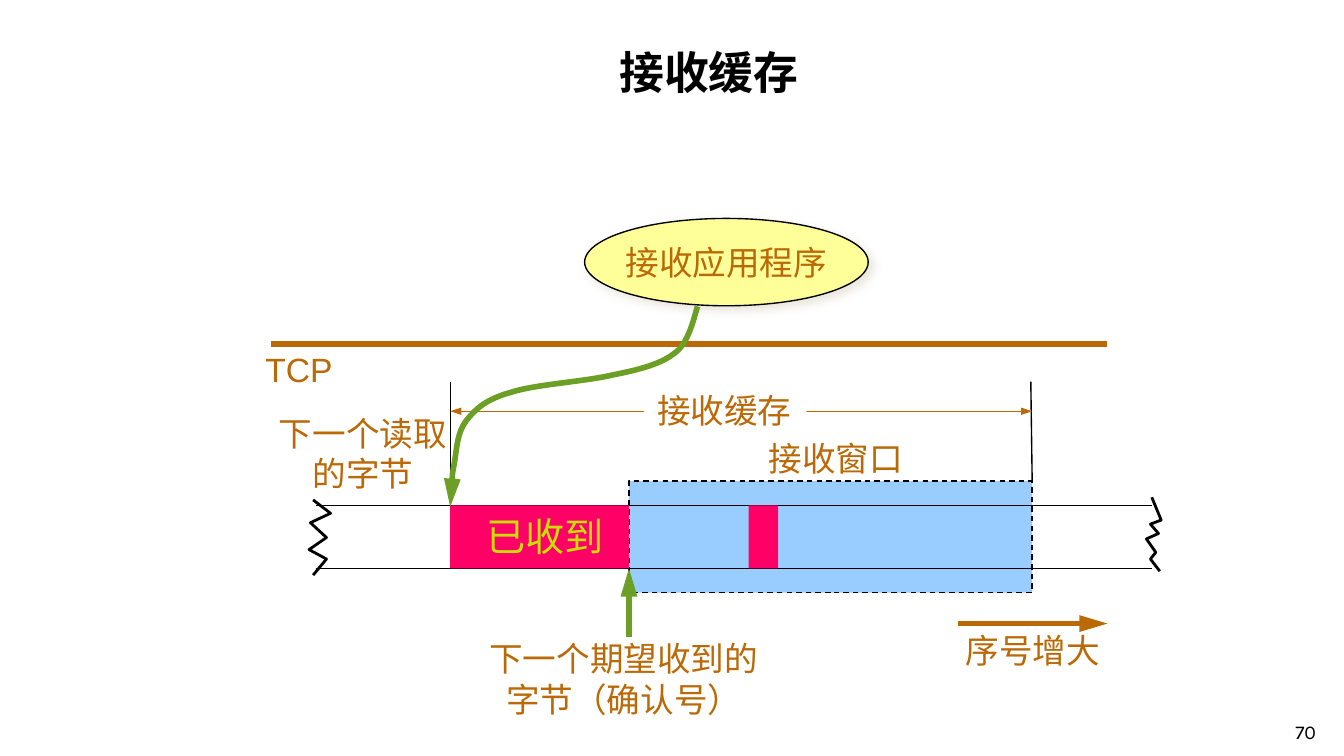
from collections import namedtuple

from lxml import etree
from pptx import Presentation
from pptx import util as u
from pptx.dml import color
from pptx.enum import dml, shapes, text
from pptx.oxml import ns

Box = namedtuple("Box", "left top width height")
COLUMNS, ROWS = 1000, 562.5
CELL = u.Inches(0.01)
BROWN, GREEN, BLACK, PINK = "BA6906", "6B9F25", "000000", "FF0066"
LABEL = {"size": u.Pt(18), "name": "Arial"}
THIN_HEAD = {"type": "triangle", "w": "sm", "len": "med"}
LONG_HEAD = {"type": "triangle", "w": "med", "len": "lg"}


def rgb(value):
    return color.RGBColor.from_string(value)


def cells(*values):
    return [round(value * CELL) for value in values]


def add_xml(parent, tag, **attributes):
    child = etree.SubElement(parent, ns.qn(tag))
    for key, value in attributes.items():
        child.set(key, value)
    return child


def style_line(item, ink, width, ends=()):
    item.line.color.rgb = rgb(ink)
    item.line.width = u.Pt(width)
    head = LONG_HEAD if width > 1 else THIN_HEAD
    for end in ends:
        add_xml(item.line._get_or_add_ln(), f"a:{end}", **head)


def write(item, lines, ink=BROWN, align=text.PP_ALIGN.CENTER, wrap=False, **changes):
    frame = item.text_frame
    frame.word_wrap = wrap
    frame.text = "\n".join(lines)
    for para in frame.paragraphs:
        para.alignment = align
        for span in para.runs:
            span.font.color.rgb = rgb(ink)
            for key, value in (LABEL | changes).items():
                setattr(span.font, key, value)


def add_label(page, box, *lines, **format_values):
    label = page.shapes.add_textbox(*cells(*box))
    write(label, lines, **format_values)
    return label


def add_block(page, kind, box, fill):
    block = page.shapes.add_shape(kind, *cells(*box))
    block.shadow.inherit = False
    block.fill.solid()
    block.fill.fore_color.rgb = rgb(fill)
    block.line.fill.background()
    return block


def add_line(page, start, finish, ink=BLACK, width=0.75, ends=()):
    line = page.shapes.add_connector(
        shapes.MSO_CONNECTOR.STRAIGHT, *cells(*start, *finish))
    style_line(line, ink, width, ends)
    add_xml(line._element.spPr, "a:effectLst")


def add_outline(page, points, ink, width, ends=(), curved=False):
    builder = page.shapes.build_freeform(*cells(*points[0]))
    builder.add_line_segments([cells(*point) for point in points[1:]], close=False)
    outline = builder.convert_to_shape()
    outline.shadow.inherit = False
    outline.fill.background()
    style_line(outline, ink, width, ends)
    if curved:
        segments = list(outline._element.iter(ns.qn("a:lnTo")))
        for first in range(0, len(segments), 3):
            curve = add_xml(segments[first].getparent(), "a:cubicBezTo")
            for segment in segments[first:first + 3]:
                curve.append(segment[0])
                segment.getparent().remove(segment)


def place_title(page, box):
    title = page.shapes.title
    for key, value in zip(box._fields, cells(*box)):
        setattr(title, key, value)
    title.text_frame.vertical_anchor = text.MSO_ANCHOR.MIDDLE
    write(title, ["接收缓存"], BLACK, wrap=True,
          size=u.Pt(24), name="Times New Roman", bold=True)
    title.text_frame.paragraphs[0].line_spacing = 0.9


def place_application(page, box):
    oval = add_block(page, shapes.MSO_SHAPE.OVAL, box, "FFFF99")
    style_line(oval, BLACK, 0.75)
    effects = oval._element.spPr.find(ns.qn("a:effectLst"))
    shadow = add_xml(effects, "a:outerShdw", blurRad=str(u.Pt(5)),
                     dist=str(u.Pt(3)), dir="2700000")
    tint = add_xml(shadow, "a:srgbClr", val="E3DED1")
    add_xml(tint, "a:alpha", val="75000")
    oval.text_frame.vertical_anchor = text.MSO_ANCHOR.MIDDLE
    write(oval, ["接收应用程序"])


def place_boundary(page, box):
    add_line(page, (box.left, box.top), (box.left + box.width, box.top), BROWN, 3)
    add_label(page, Box(box.left - 15, box.top - 1, 71, 40), "TCP")


def place_stream(page, box):
    left, top, width, height = box
    rectangle = shapes.MSO_SHAPE.RECTANGLE
    window = add_block(
        page, rectangle, Box(left + 233, top - 18, 300, height + 36), "99CCFF")
    style_line(window, BLACK, 0.75)
    window.line.dash_style = dml.MSO_LINE.DASH
    for edge in (top, top + height):
        add_line(page, (left, edge), (left + width, edge))
    for offset, span in ((100, 133), (322, 22)):
        add_block(page, rectangle, Box(left + offset, top, span, height), PINK)
    add_label(page, Box(left + 117, top, 109, 45), "已收到", ink="C9DE06",
              align=text.PP_ALIGN.LEFT, size=u.Pt(21))
    add_label(page, Box(left + 327, top - 55, 121, 40), "接收窗口",
              align=text.PP_ALIGN.LEFT)
    breaks = (
        ((-2, -4), (11, 6), (-4, 13), (8, 24), (-5, 33), (8, 40), (-2, 52)),
        ((622, -6), (629, 11), (621, 14), (627, 21), (618, 25), (625, 35),
         (621, 40), (628, 49)),
    )
    for points in breaks:
        add_outline(page, [(left + x, top + y) for x, y in points], BLACK, 1.5)


def place_extent(page, box):
    left, top, width, height = box
    right, middle = left + width, top + 22
    add_line(page, (left, top), (left, top + height + 18))
    add_line(page, (right - 1, top), (right, top + height))
    add_line(page, (left, middle), (right, middle), BROWN, ends=("headEnd", "tailEnd"))
    label = add_label(page, Box(left + 144, top + 1, 121, 40), "接收缓存",
                      align=text.PP_ALIGN.LEFT)
    label.fill.solid()
    label.fill.fore_color.rgb = rgb("FFFFFF")


def place_read_pointer(page, box):
    bends = ((184, 0), (182, 6), (178, 26), (168, 34), (157, 43), (141, 47),
             (121, 51), (100, 56), (63, 58), (45, 64), (27, 69), (19, 76),
             (12, 85), (5, 94), (5, 106), (3, 117), (1, 128), (1, 142), (0, 149))
    add_outline(page, [(box.left + x, box.top + y) for x, y in bends],
                GREEN, 3, ["tailEnd"], curved=True)
    add_label(page, Box(box.left - 138, box.top + 74, 146, 71), "下一个读取", "的字节")


def place_expected_pointer(page, box):
    center = box.left + 115
    add_line(page, (center, box.top + 51), (center, box.top), GREEN, 3, ["tailEnd"])
    add_label(page, Box(box.left, box.top + 47, box.width, 71),
              "下一个期望收到的", "字节（确认号）")


def place_direction(page, box):
    add_line(page, (box.left + 5, box.top), (box.left + 116, box.top),
             BROWN, 3, ["tailEnd"])
    add_label(page, box, "序号增大")


def place_number(page, box):
    add_label(page, box, "70", ink=BLACK, align=text.PP_ALIGN.LEFT, wrap=True,
              size=u.Pt(10.5), name="Karla")


def main():
    deck = Presentation()
    deck.slide_width, deck.slide_height = cells(COLUMNS, ROWS)
    page = deck.slides.add_slide(deck.slide_layouts[5])
    place_title(page, Box(219, 18, 617, 75))
    place_application(page, Box(435, 162.5, 211, 65))
    place_boundary(page, Box(202, 256, 622, 0))
    place_stream(page, Box(235, 376, 622, 47))
    place_extent(page, Box(335, 284, 433, 74))
    place_read_pointer(page, Box(335, 228, 184, 149))
    place_direction(page, Box(708, 464, 121, 40))
    place_expected_pointer(page, Box(353, 423, 222, 118))
    place_number(page, Box(954, 531, 46, 30))
    deck.save("out.pptx")


if __name__ == "__main__":
    main()
